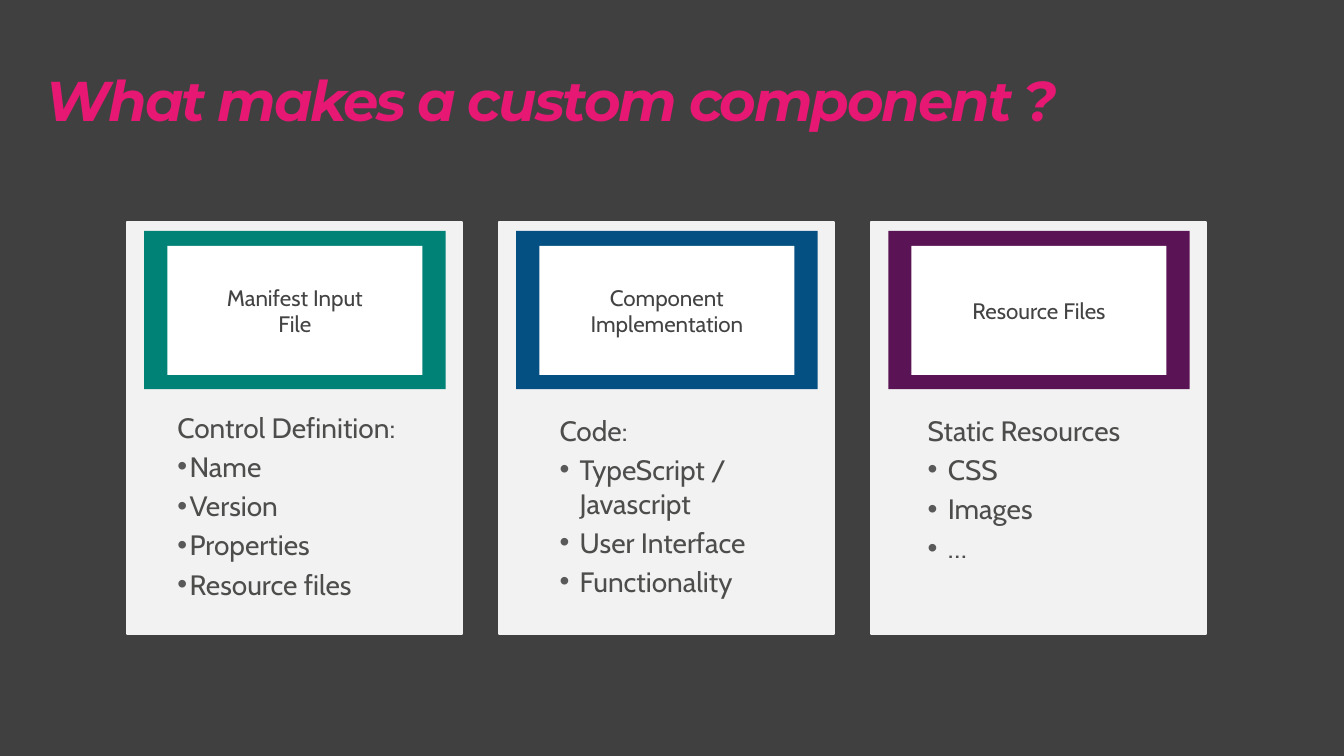
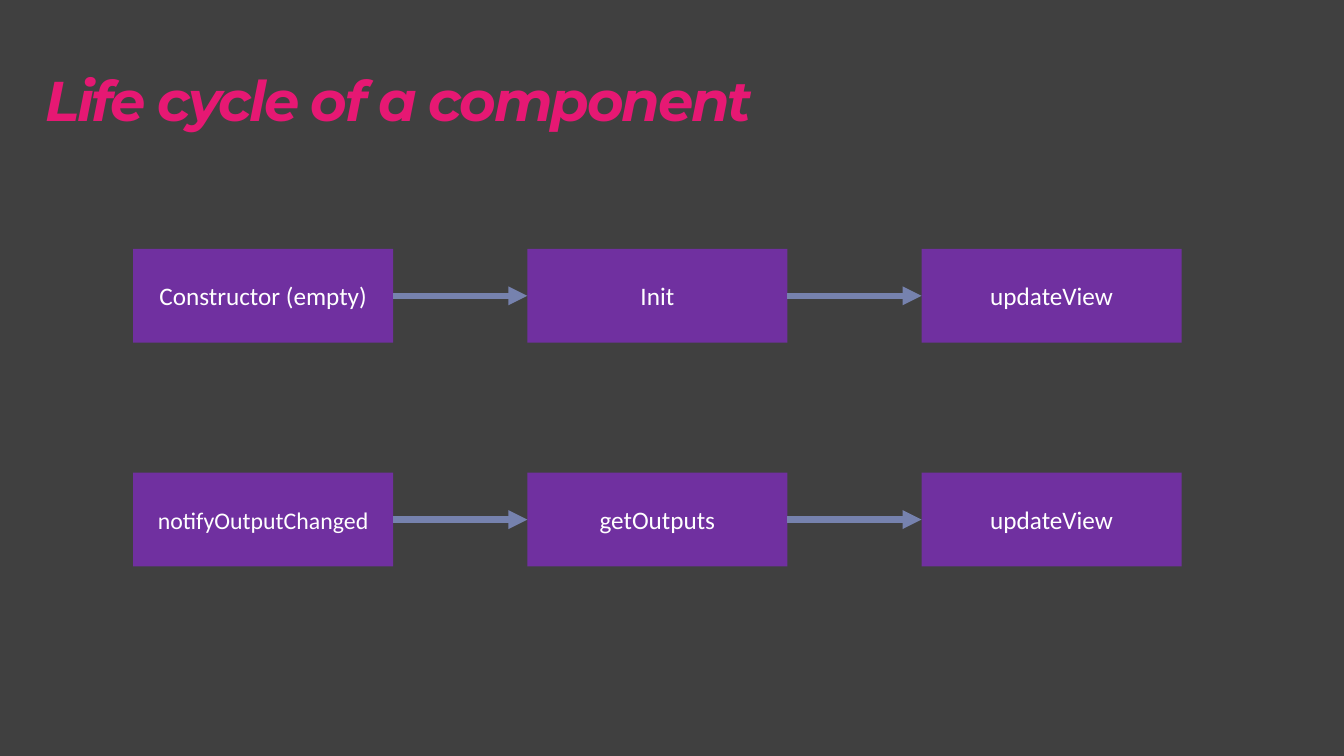
from itertools import pairwise

from lxml.etree import SubElement
from pptx import Presentation
from pptx.dml.color import RGBColor
from pptx.enum.shapes import MSO_CONNECTOR as Connector, MSO_SHAPE as Shape
from pptx.enum.text import MSO_ANCHOR as Anchor, MSO_AUTO_SIZE as AutoSize, PP_ALIGN as Align
from pptx.oxml.ns import qn
from pptx.util import Inches, Pt

# Content: heading, frame colour, list left, list top, hanging indent, list lines
COMPONENT_TITLE = "What makes a custom component ?"
CARDS = [
    ("Manifest Input File", RGBColor(0x00, 0x83, 0x76), 1.66, 4.02, 0.12,
     ["Control Definition:", "Name", "Version", "Properties", "Resource files"]),
    ("Component Implementation", RGBColor(0x05, 0x50, 0x82), 5.45, 4.05, 0.2,
     ["Code:", "TypeScript / Javascript", "User Interface", "Functionality"]),
    ("Resource Files", RGBColor(0x5A, 0x14, 0x55), 9.1, 4.05, 0.2,
     ["Static Resources", "CSS", "Images", "…"]),
]
LIFE_CYCLE_TITLE = "Life cycle of a component"
# Each step is a method name and its text size
LIFE_CYCLE = [
    [("Constructor (empty)", 18), ("Init", 18), ("updateView", 18)],
    [("notifyOutputChanged", 17), ("getOutputs", 18), ("updateView", 18)],
]

# Shared colours
BACKGROUND = RGBColor(0x40, 0x40, 0x40)
PINK = RGBColor(0xE6, 0x18, 0x73)
CARD_GREY = RGBColor(0xF2, 0xF2, 0xF2)
HEADING_GREY = RGBColor(0x43, 0x43, 0x43)
LIST_GREY = RGBColor(0x4D, 0x4D, 0x4C)
BULLET_GREY = "595959"
PURPLE = RGBColor(0x70, 0x30, 0xA0)
ARROW_BLUE = RGBColor(0x76, 0x82, 0xAE)
WHITE = RGBColor(0xFF, 0xFF, 0xFF)

# Grids, in inches
CARD_LEFT, CARD_STEP = 1.26, 3.69
STEP_LEFT, STEP_TOP, STEP_DX, STEP_DY = 1.32, 2.47, 3.91, 2.22

# Layout numbers in the default template
COMPARISON, TITLE_ONLY = 4, 5


def place(shape, left, top, width, height):
    shape.left, shape.top = Inches(left), Inches(top)
    shape.width, shape.height = Inches(width), Inches(height)


def style(paragraph, face, size, color, bold=False, italic=False):
    font = paragraph.font
    font.name, font.size, font.color.rgb = face, Pt(size), color
    font.bold, font.italic = bold, italic


def add_slide(prs, layout, title_text):
    slide = prs.slides.add_slide(prs.slide_layouts[layout])
    title = slide.shapes.title
    place(title, 0.35, 0.6, 12.63, 0.77)
    title.text_frame.text = title_text
    title.text_frame.auto_size = AutoSize.NONE
    heading = title.text_frame.paragraphs[0]
    heading.alignment = Align.LEFT
    style(heading, "Montserrat", 40, PINK, bold=True, italic=True)
    heading.runs[0]._r.get_or_add_rPr().set("spc", "-150")
    return slide


def add_box(slide, left, top, width, height, fill, outline=None):
    box = slide.shapes.add_shape(
        Shape.RECTANGLE, Inches(left), Inches(top), Inches(width), Inches(height))
    box.shadow.inherit = False
    box.fill.solid()
    box.fill.fore_color.rgb = fill
    if outline is None:
        box.line.fill.background()
    else:
        box.line.color.rgb, box.line.width = outline, Pt(1.5)
    return box


def label(box, text, face, size, color, side_margin=0.1):
    frame = box.text_frame
    frame.text, frame.word_wrap = text, True
    frame.vertical_anchor = Anchor.MIDDLE
    frame.margin_left = frame.margin_right = Inches(side_margin)
    frame.paragraphs[0].alignment = Align.CENTER
    style(frame.paragraphs[0], face, size, color)


def set_bullet(paragraph, hanging):
    props = paragraph._p.get_or_add_pPr()
    props.set("marL", str(Inches(hanging)))
    props.set("indent", str(-Inches(hanging)))
    if hanging:
        SubElement(SubElement(props, qn("a:buClr")), qn("a:srgbClr"), val=BULLET_GREY)
        SubElement(props, qn("a:buFont"), typeface="Arial")
        SubElement(props, qn("a:buChar"), char="•")
    else:
        SubElement(props, qn("a:buNone"))


def fill_list(body, lines, hanging):
    frame = body.text_frame
    frame.text = "\n".join(lines)
    frame.auto_size, frame.vertical_anchor = AutoSize.NONE, Anchor.TOP
    for number, paragraph in enumerate(frame.paragraphs):
        paragraph.alignment = Align.LEFT
        paragraph.space_before = Pt(4 if number else 0)
        set_bullet(paragraph, hanging if number else 0)
        style(paragraph, "Cabin", 20, LIST_GREY)


def add_arrow(slide, source, target):
    arrow = slide.shapes.add_connector(Connector.STRAIGHT, 0, 0, 0, 0)
    arrow.begin_connect(source, 3)
    arrow.end_connect(target, 1)
    arrow.line.color.rgb, arrow.line.width = ARROW_BLUE, Pt(4.5)
    SubElement(arrow.line._get_or_add_ln(), qn("a:tailEnd"), type="triangle")
    SubElement(arrow._element.spPr, qn("a:effectLst"))


def build_component_slide(prs):
    slide = add_slide(prs, COMPARISON, COMPONENT_TITLE)
    *bodies, spare = list(slide.placeholders)[1:]
    spare._element.getparent().remove(spare._element)
    for column, (body, card) in enumerate(zip(bodies, CARDS)):
        heading, color, list_left, list_top, hanging, lines = card
        left = CARD_LEFT + column * CARD_STEP
        # Card, coloured frame and white heading panel
        add_box(slide, left, 2.2, 3.32, 4.09, CARD_GREY, CARD_GREY)
        add_box(slide, left + 0.17, 2.29, 2.99, 1.57, color)
        panel = add_box(slide, left + 0.4, 2.44, 2.53, 1.28, WHITE)
        label(panel, heading, "Cabin", 16, HEADING_GREY, side_margin=0.48)
        # List, brought in front of its card
        place(body, list_left, list_top, 2.48, 2.1)
        fill_list(body, lines, hanging)
        slide.shapes._spTree.append(body._element)


def build_life_cycle_slide(prs):
    slide = add_slide(prs, TITLE_ONLY, LIFE_CYCLE_TITLE)
    for row, steps in enumerate(LIFE_CYCLE):
        boxes = []
        for column, (method, size) in enumerate(steps):
            box = add_box(slide, STEP_LEFT + column * STEP_DX,
                          STEP_TOP + row * STEP_DY, 2.58, 0.93, PURPLE)
            label(box, method, "Calibri", size, WHITE)
            boxes.append(box)
        for source, target in pairwise(boxes):
            add_arrow(slide, source, target)


def main():
    prs = Presentation()
    prs.slide_width, prs.slide_height = Inches(13.33), Inches(7.5)
    backdrop = prs.slide_master.background.fill
    backdrop.solid()
    backdrop.fore_color.rgb = BACKGROUND
    build_component_slide(prs)
    build_life_cycle_slide(prs)
    prs.save("out.pptx")


if __name__ == "__main__":
    main()
